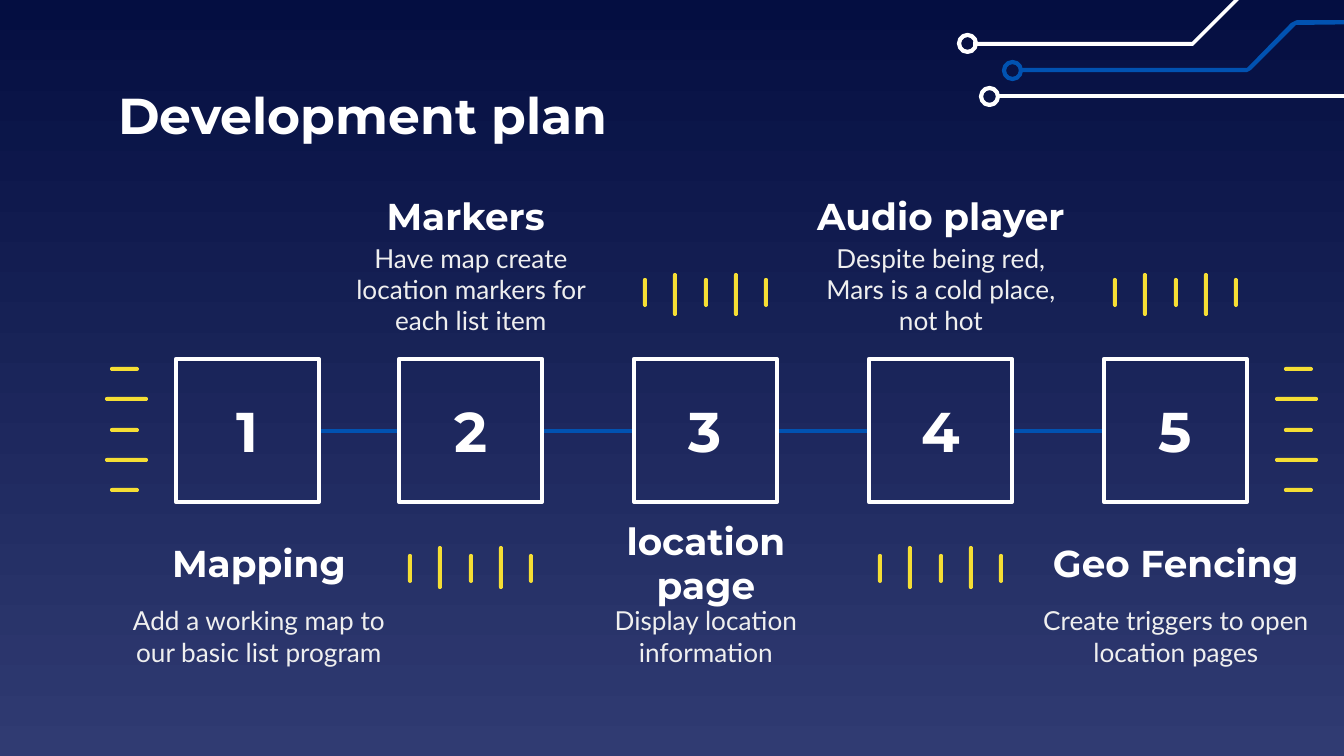
from dataclasses import dataclass

from lxml import etree
from pptx import Presentation, util as u
from pptx.dml.color import RGBColor
from pptx.enum import shapes, text
from pptx.oxml.ns import qn

PX = 914400 / 134.4


def px(value):
    return u.Emu(round(value * PX))


@dataclass(frozen=True)
class Theme:
    white: str = "FFFFFF"
    pale: str = "EFEFEF"
    blue: str = "0152B1"
    yellow: str = "F5DE34"
    night: str = "040E41"
    dusk: str = "303B72"
    heading_font: str = "Montserrat"
    body_font: str = "Lato"
    title_size: float = 27
    number_size: float = 30
    heading_size: float = 20
    body_size: float = 14
    stroke: float = 2.25


def write_text(shape, content, *, size, font, color, bold=True, align="CENTER"):
    frame = shape.text_frame
    frame.word_wrap = True
    frame.vertical_anchor = text.MSO_ANCHOR.MIDDLE
    frame.margin_left = frame.margin_right = u.Inches(0.1)
    frame.margin_top = frame.margin_bottom = u.Inches(0.1)
    paragraph = frame.paragraphs[0]
    paragraph.alignment = text.PP_ALIGN[align]
    run = paragraph.add_run()
    run.text = content
    run.font.size = u.Pt(size)
    run.font.name = font
    run.font.bold = bold
    run.font.color.rgb = RGBColor.from_string(color)


class Board:
    def __init__(self, slide, theme):
        self.slide = slide
        self.theme = theme

    def background(self):
        fill = self.slide.background.fill
        fill.gradient()
        fill.gradient_angle = 270
        for stop, color in zip(fill.gradient_stops, (self.theme.night, self.theme.dusk)):
            stop.color.rgb = RGBColor.from_string(color)

    def paint(self, shape, fill=None, line=None):
        shape.shadow.inherit = False
        if fill:
            shape.fill.solid()
            shape.fill.fore_color.rgb = RGBColor.from_string(fill)
        else:
            shape.fill.background()
        if line:
            shape.line.color.rgb = RGBColor.from_string(line)
            shape.line.width = u.Pt(self.theme.stroke)
        else:
            shape.line.fill.background()

    def shape(self, kind, left, top, width, height, **colors):
        shape = self.slide.shapes.add_shape(
            shapes.MSO_SHAPE[kind], px(left), px(top), px(width), px(height))
        self.paint(shape, **colors)
        return shape

    def label(self, content, left, top, width, height, **style):
        box = self.slide.shapes.add_textbox(px(left), px(top), px(width), px(height))
        write_text(box, content, **style)

    def connector(self, start, end, y):
        line = self.slide.shapes.add_connector(
            shapes.MSO_CONNECTOR.STRAIGHT, px(start), px(y), px(end), px(y))
        line.line.color.rgb = RGBColor.from_string(self.theme.blue)
        line.line.width = u.Pt(self.theme.stroke)
        etree.SubElement(line._element.spPr, qn("a:effectLst"))

    def circuit(self, ring_left, ring_top, points, color):
        builder = self.slide.shapes.build_freeform(*points[0], scale=PX)
        builder.add_line_segments(points[1:], close=True)
        self.paint(builder.convert_to_shape(), fill=color)
        self.shape("OVAL", ring_left, ring_top, 17, 17, line=color)

    def ticks(self, start, short_center, long_center, upright=True):
        for index in range(5):
            length, center = (43, long_center) if index % 2 else (29, short_center)
            along = start + round(index * 30.3)
            across = center - length // 2
            if upright:
                frame = (along, across, 4, length)
            else:
                frame = (across, along, length, 4)
            tick = self.shape("ROUNDED_RECTANGLE", *frame, fill=self.theme.yellow)
            tick.adjustments[0] = 0.5


CIRCUITS = [
    (959, 35, [(1240, -5), (1239, -5), (1192, 42), (973, 42), (973, 46), (1193, 46),
               (1195, 44), (1240, -1), (1290, -1), (1290, -5)], "white"),
    (1004, 62, [(1297, 20), (1291, 23), (1247, 68), (1019, 68), (1019, 72), (1247, 72),
                (1251, 70), (1296, 25), (1378, 24), (1378, 20)], "blue"),
    (981, 88, [(996, 94), (996, 98), (1352, 98), (1352, 94)], "white"),
]
STEPS = [
    ("Mapping", "Add a working map to our basic list program"),
    ("Markers ", "Have map create location markers for each list item"),
    ("location page", "Display location information"),
    ("Audio player", "Despite being red, Mars is a cold place, not hot"),
    ("Geo Fencing", "Create triggers to open location pages"),
]
BOX_TOP, BOX_SIZE = 359, 143
BOX_LEFTS = [176] + [399 + 235 * index for index in range(4)]
LABEL_LEFTS = [112] + [left - 75 for left in BOX_LEFTS[1:]]
LABEL_WIDTH = 294


def main():
    presentation = Presentation()
    presentation.slide_width, presentation.slide_height = px(1344), px(756)
    theme = Theme()
    board = Board(presentation.slides.add_slide(presentation.slide_layouts[6]), theme)
    heading = dict(font=theme.heading_font, color=theme.white)
    body = dict(font=theme.body_font, color=theme.pale, size=theme.body_size, bold=False)

    board.background()
    for ring_left, ring_top, points, color in CIRCUITS:
        board.circuit(ring_left, ring_top, points, getattr(theme, color))
    board.label("Development plan", 105, 79, 517, 70,
                size=theme.title_size, align="LEFT", **heading)

    for left, following in zip(BOX_LEFTS, BOX_LEFTS[1:]):
        board.connector(left + BOX_SIZE, following, 431)

    for index, (name, detail) in enumerate(STEPS):
        left, label_left = BOX_LEFTS[index], LABEL_LEFTS[index]
        box = board.shape("RECTANGLE", left, BOX_TOP, BOX_SIZE, BOX_SIZE, line=theme.white)
        write_text(box, str(index + 1), size=theme.number_size, **heading)
        above = index % 2 == 1
        label_top = 184 if above else 531
        board.label(name, label_left, label_top, LABEL_WIDTH, 63,
                    size=theme.heading_size, **heading)
        board.label(detail, label_left, label_top + 64, LABEL_WIDTH, 82, **body)
        if above:
            board.ticks(left + 9, 568, 567)
        elif index:
            board.ticks(left + 9, 292, 294)

    board.ticks(367, 124, 126, upright=False)
    board.ticks(367, 1298, 1296, upright=False)
    presentation.save("out.pptx")


if __name__ == "__main__":
    main()
